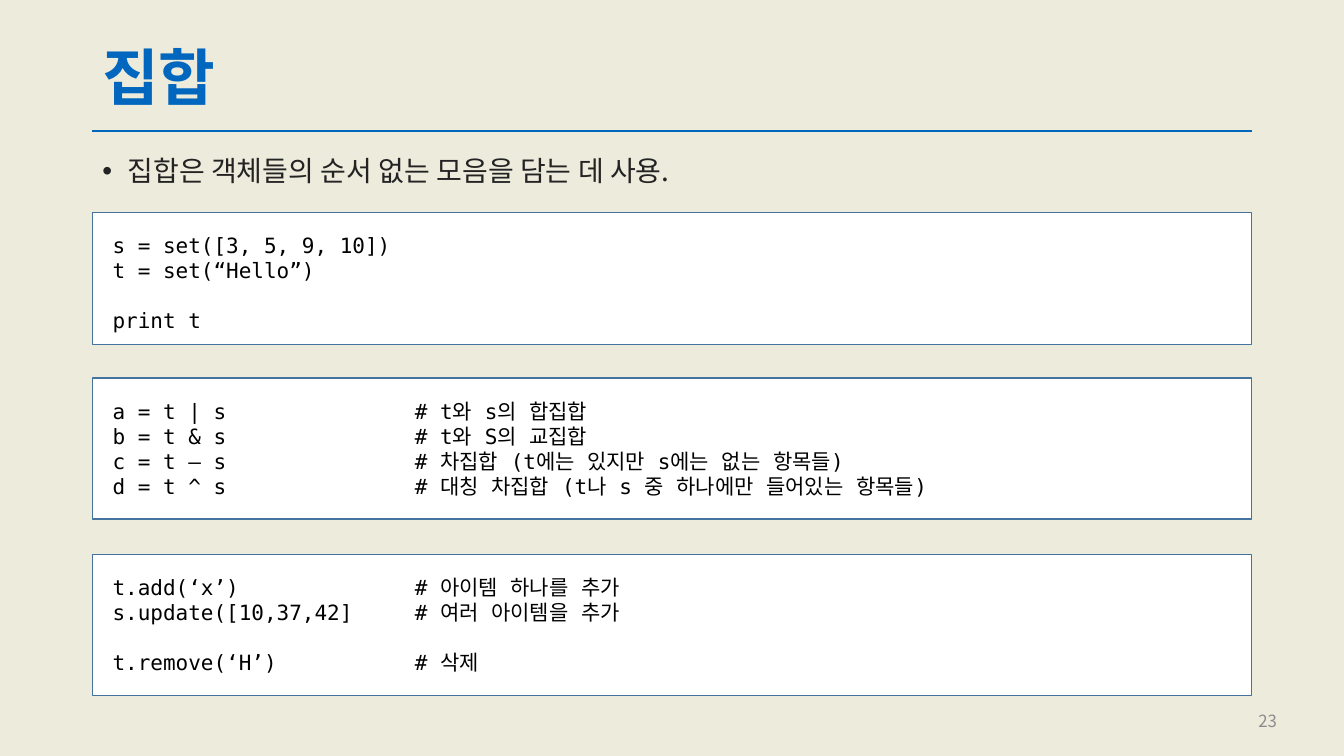
"""Build a slide that introduces Python sets with three code boxes."""
from dataclasses import dataclass

from pptx import Presentation
from pptx.dml.color import RGBColor
from pptx.enum.shapes import MSO_CONNECTOR, MSO_SHAPE
from pptx.enum.text import MSO_ANCHOR, PP_ALIGN
from pptx.oxml.ns import qn
from pptx.util import Inches, Pt
from lxml.etree import SubElement


@dataclass(frozen=True)
class Theme:
    background: str = "ECEBDC"
    accent: str = "0066BE"
    body: str = "232323"
    muted: str = "8C8C8C"
    code: str = "000000"
    code_fill: str = "FFFFFF"
    code_border: str = "43739E"
    text_font: str = "Noto Sans CJK KR"
    code_font: str = "DejaVu Sans Mono"
    title_size: float = 44
    body_size: float = 20
    code_size: float = 15
    number_size: float = 12
    code_gap: float = 17.5
    comment_tab: float = 3
    code_inset: float = 0.2


def write(para, text, font, size, color, bold=False, align=PP_ALIGN.LEFT,
          line_spacing=1.0, space_before=0):
    para.alignment = align
    para.line_spacing = line_spacing
    para.space_before = Pt(space_before)
    span = para.add_run()
    span.text = text
    span.font.name = font
    span.font.size = Pt(size)
    span.font.bold = bold
    span.font.color.rgb = RGBColor.from_string(color)
    SubElement(span.font._element, qn("a:ea"), typeface=font)


class SlideBuilder:
    COLUMNS = 160
    ROWS = 90

    def __init__(self, deck, theme):
        self.theme = theme
        self.column = deck.slide_width / self.COLUMNS
        self.row = deck.slide_height / self.ROWS
        self.slide = deck.slides.add_slide(deck.slide_layouts[6])
        fill = self.slide.background.fill
        fill.solid()
        fill.fore_color.rgb = RGBColor.from_string(theme.background)

    def place(self, left, top, width, height):
        return (round(left * self.column), round(top * self.row),
                round(width * self.column), round(height * self.row))

    def rule(self, left, top, width):
        x, y, length, _ = self.place(left, top, width, 0)
        line = self.slide.shapes.add_connector(
            MSO_CONNECTOR.STRAIGHT, x, y, x + length, y)
        line.line.color.rgb = RGBColor.from_string(self.theme.accent)
        line.line.width = Pt(1.5)
        SubElement(line._element.spPr, qn("a:effectLst"))

    def label(self, area, text, size, color, anchor=MSO_ANCHOR.MIDDLE, **style):
        box = self.slide.shapes.add_textbox(*self.place(*area))
        frame = box.text_frame
        frame.word_wrap = True
        frame.vertical_anchor = anchor
        para = frame.paragraphs[0]
        write(para, text, self.theme.text_font, size, color, **style)
        return para

    def bullet(self, area, text):
        para = self.label(area, text, self.theme.body_size, self.theme.body,
                          MSO_ANCHOR.TOP, line_spacing=0.9, space_before=10)
        properties = para._p.get_or_add_pPr()
        properties.set("marL", str(Inches(0.25)))
        properties.set("indent", str(-Inches(0.25)))
        SubElement(properties, qn("a:buFont"), typeface="Arial")
        SubElement(properties, qn("a:buChar"), char="•")

    def code_box(self, area, groups):
        theme = self.theme
        box = self.slide.shapes.add_shape(MSO_SHAPE.RECTANGLE, *self.place(*area))
        box.shadow.inherit = False
        box.fill.solid()
        box.fill.fore_color.rgb = RGBColor.from_string(theme.code_fill)
        box.line.color.rgb = RGBColor.from_string(theme.code_border)
        box.line.width = Pt(1)
        frame = box.text_frame
        frame.word_wrap = True
        frame.vertical_anchor = MSO_ANCHOR.TOP
        frame.margin_left = frame.margin_right = Inches(theme.code_inset)
        frame.margin_top = frame.margin_bottom = Inches(theme.code_inset)
        lines = [(text, theme.code_gap if group and not index else 0)
                 for group, texts in enumerate(groups)
                 for index, text in enumerate(texts)]
        for index, (text, gap) in enumerate(lines):
            para = frame.add_paragraph() if index else frame.paragraphs[0]
            write(para, text, theme.code_font, theme.code_size, theme.code,
                  space_before=gap)
            tabs = SubElement(para._p.get_or_add_pPr(), qn("a:tabLst"))
            SubElement(tabs, qn("a:tab"), pos=str(Inches(theme.comment_tab)), algn="l")


CODE_BOXES = [
    (25.3, 15.7, [["s = set([3, 5, 9, 10])", "t = set(“Hello”)"], ["print t"]]),
    (45, 16.8, [["a = t | s\t# t와 s의 합집합",
                 "b = t & s\t# t와 S의 교집합",
                 "c = t – s\t# 차집합 (t에는 있지만 s에는 없는 항목들)",
                 "d = t ^ s\t# 대칭 차집합 (t나 s 중 하나에만 들어있는 항목들)"]]),
    (66, 16.8, [["t.add(‘x’)\t# 아이템 하나를 추가",
                 "s.update([10,37,42]\t# 여러 아이템을 추가"],
                ["t.remove(‘H’)\t# 삭제"]]),
]


def main():
    deck = Presentation()
    deck.slide_width = Inches(40 / 3)
    deck.slide_height = Inches(7.5)
    theme = Theme()
    page = SlideBuilder(deck, theme)
    left, width = 11, 138

    page.rule(left, 15.6, width)
    page.label((left, 4.8, width, 9.6), "집합", theme.title_size, theme.accent,
               bold=True, line_spacing=0.9)
    page.label((117.2, 83.4, 36, 4.8), "23", theme.number_size, theme.muted,
               align=PP_ALIGN.RIGHT)
    page.bullet((left, 18.2, 124.2, 5.8), "집합은 객체들의 순서 없는 모음을 담는 데 사용.")
    for top, height, groups in CODE_BOXES:
        page.code_box((left, top, width, height), groups)

    deck.save("out.pptx")


if __name__ == "__main__":
    main()
